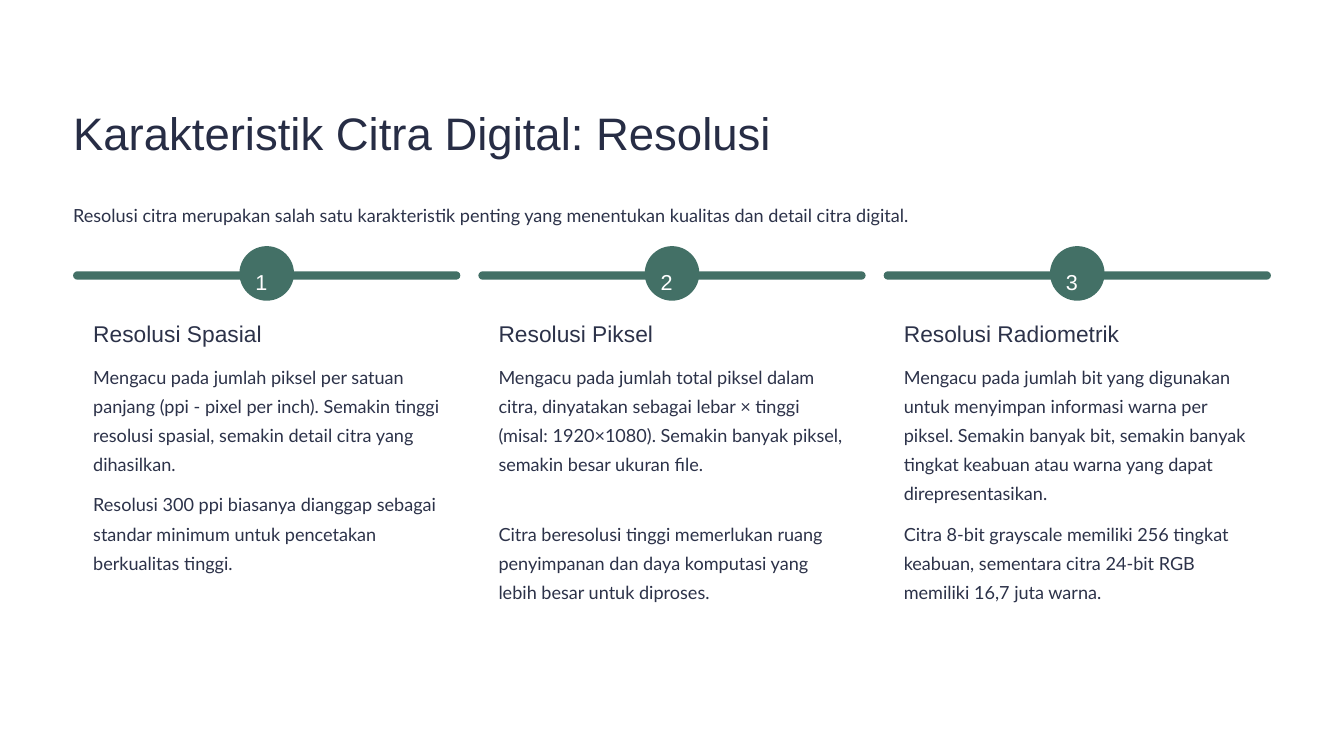
from dataclasses import dataclass

import pptx
import pptx.dml.color
import pptx.enum.shapes
import pptx.enum.text
import pptx.util
from pptx.util import Inches

GREEN = "437066"
WHITE = "FFFFFF"
NAVY = "272D45"
INK = "2C3249"

MARGIN = 0.87
CONTENT_WIDTH = 14.26
COLUMN_WIDTH = 4.61
MARKER_SIZE = 0.65
TEXT_INSET = 0.24


@dataclass
class TextStyle:
    font: str
    size: float
    line: float
    color: str


@dataclass
class Resolution:
    heading: str
    definition: str
    definition_height: float
    remark: str
    remark_top: float
    remark_height: float


TITLE = TextStyle("Arial", 39, 48.5, NAVY)
BODY = TextStyle("Lato", 15.5, 25, INK)
NUMBER = TextStyle("Arial", 18.5, 30, WHITE)
HEADING = TextStyle("Arial", 19.5, 24, INK)

RESOLUTIONS = [
    Resolution(
        "Resolusi Spasial",
        "Mengacu pada jumlah piksel per satuan panjang (ppi - pixel per inch). "
        "Semakin tinggi resolusi spasial, semakin detail citra yang dihasilkan.",
        1.39,
        "Resolusi 300 ppi biasanya dianggap sebagai standar minimum untuk "
        "pencetakan berkualitas tinggi.",
        5.79, 1.04),
    Resolution(
        "Resolusi Piksel",
        "Mengacu pada jumlah total piksel dalam citra, dinyatakan sebagai "
        "lebar × tinggi (misal: 1920×1080). Semakin banyak piksel, semakin "
        "besar ukuran file.",
        1.74,
        "Citra beresolusi tinggi memerlukan ruang penyimpanan dan daya "
        "komputasi yang lebih besar untuk diproses.",
        6.14, 1.39),
    Resolution(
        "Resolusi Radiometrik",
        "Mengacu pada jumlah bit yang digunakan untuk menyimpan informasi "
        "warna per piksel. Semakin banyak bit, semakin banyak tingkat keabuan "
        "atau warna yang dapat direpresentasikan.",
        1.74,
        "Citra 8-bit grayscale memiliki 256 tingkat keabuan, sementara citra "
        "24-bit RGB memiliki 16,7 juta warna.",
        6.14, 1.04),
]


def rgb(color: str) -> pptx.dml.color.RGBColor:
    return pptx.dml.color.RGBColor.from_string(color)


def write(frame, text: str, style: TextStyle, wrap: bool) -> None:
    """Fill a text frame with one left-aligned paragraph."""
    frame.margin_left = frame.margin_right = 0
    frame.margin_top = frame.margin_bottom = 0
    frame.auto_size = pptx.enum.text.MSO_AUTO_SIZE.NONE
    frame.vertical_anchor = pptx.enum.text.MSO_ANCHOR.TOP
    frame.word_wrap = wrap
    frame.text = text
    paragraph = frame.paragraphs[0]
    paragraph.alignment = pptx.enum.text.PP_ALIGN.LEFT
    paragraph.line_spacing = pptx.util.Pt(style.line)
    paragraph.font.name = style.font
    paragraph.font.size = pptx.util.Pt(style.size)
    paragraph.font.color.rgb = rgb(style.color)


def add_text(slide, left: float, top: float, width: float, height: float,
             text: str, style: TextStyle, wrap: bool = False) -> None:
    box = slide.shapes.add_textbox(
        Inches(left), Inches(top), Inches(width), Inches(height))
    write(box.text_frame, text, style, wrap)


def add_rounded(slide, left: float, top: float, width: float, height: float,
                rounding: float, color: str) -> None:
    shape = slide.shapes.add_shape(
        pptx.enum.shapes.MSO_SHAPE.ROUNDED_RECTANGLE,
        Inches(left), Inches(top), Inches(width), Inches(height))
    shape.adjustments[0] = rounding
    shape.shadow.inherit = False
    shape.fill.solid()
    shape.fill.fore_color.rgb = rgb(color)
    shape.line.fill.background()


def add_column(slide, number: int, left: float, item: Resolution) -> None:
    # Card, top bar and numbered marker
    marker_left = left + (COLUMN_WIDTH - MARKER_SIZE) / 2
    add_rounded(slide, left, 3.26, COLUMN_WIDTH, 4.51, 0.03, WHITE)
    add_rounded(slide, left, 3.23, COLUMN_WIDTH, 0.1, 0.5, GREEN)
    add_rounded(slide, marker_left, 2.93, MARKER_SIZE, MARKER_SIZE, 0.5, GREEN)
    add_text(slide, marker_left + 0.19, 3.09, 0.26, 0.33, str(number), NUMBER)

    # Heading and explanation
    text_left = left + TEXT_INSET
    text_width = COLUMN_WIDTH - 2 * TEXT_INSET
    add_text(slide, text_left, 3.8, 2.71, 0.34, item.heading, HEADING)
    add_text(slide, text_left, 4.27, text_width, item.definition_height,
             item.definition, BODY, wrap=True)
    add_text(slide, text_left, item.remark_top, text_width, item.remark_height,
             item.remark, BODY, wrap=True)


def main() -> None:
    deck = pptx.Presentation()
    deck.slide_width, deck.slide_height = Inches(16), Inches(9)
    slide = deck.slides.add_slide(deck.slide_layouts.get_by_name("Title Only"))

    # Title, wide enough for a single line, and introduction
    title = slide.shapes.title
    title.left, title.top = Inches(MARGIN), Inches(1.23)
    title.width, title.height = Inches(8.6), Inches(0.68)
    write(title.text_frame, "Karakteristik Citra Digital: Resolusi", TITLE, True)
    add_text(slide, MARGIN, 2.34, CONTENT_WIDTH, 0.35,
             "Resolusi citra merupakan salah satu karakteristik penting yang "
             "menentukan kualitas dan detail citra digital.", BODY)

    # Three columns spread evenly across the content width
    pitch = (CONTENT_WIDTH - COLUMN_WIDTH) / (len(RESOLUTIONS) - 1)
    for index, item in enumerate(RESOLUTIONS):
        add_column(slide, index + 1, MARGIN + index * pitch, item)

    deck.save("out.pptx")


if __name__ == "__main__":
    main()
